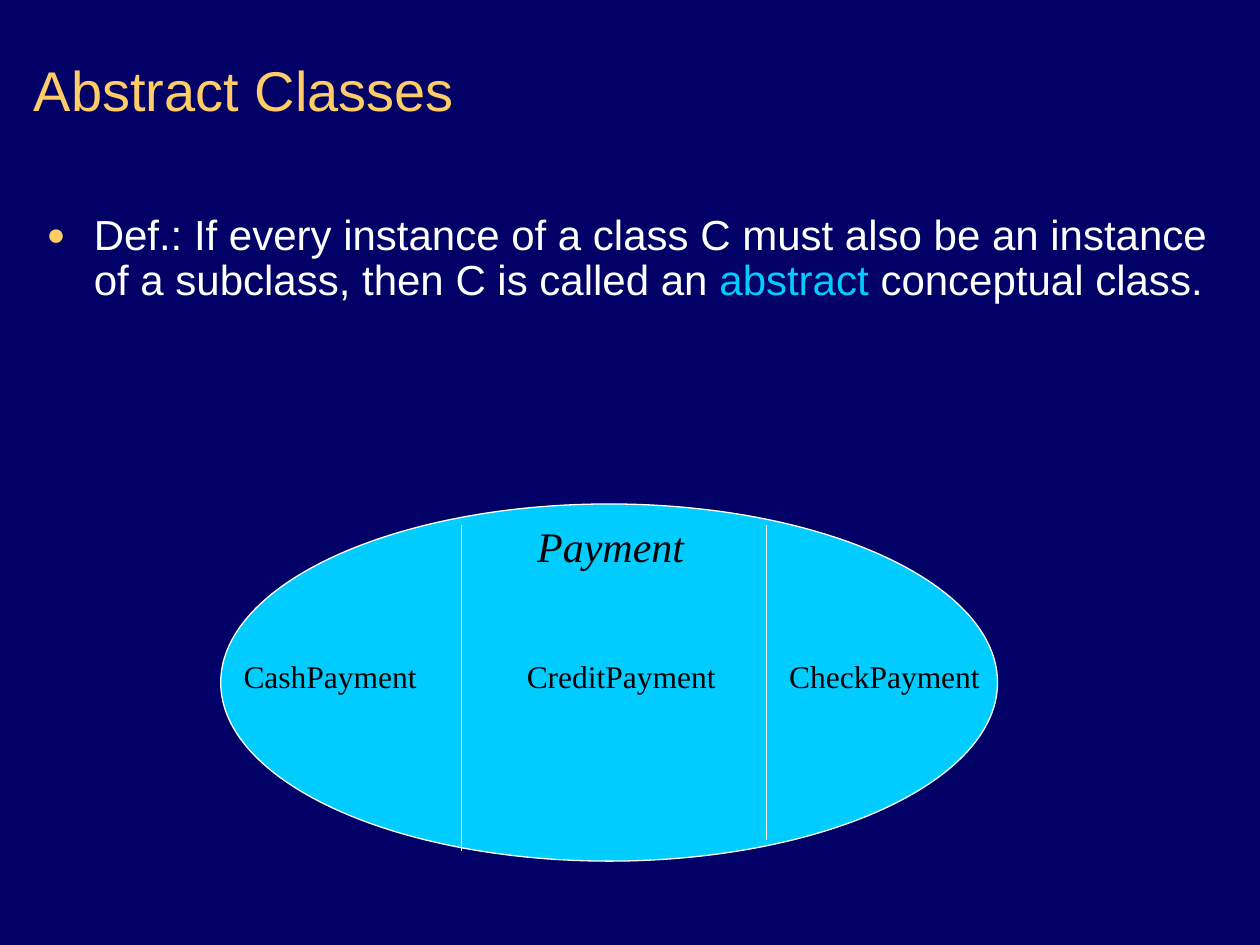
"""Build the slide on abstract classes with the payment partition."""
from lxml import etree
from pptx import Presentation
from pptx.dml.color import RGBColor
from pptx.enum.shapes import MSO_CONNECTOR, MSO_SHAPE
from pptx.enum.text import MSO_ANCHOR, MSO_AUTO_SIZE, PP_ALIGN
from pptx.oxml.ns import qn
from pptx.util import Cm, Pt

LEFT = PP_ALIGN.LEFT
MIDDLE = MSO_ANCHOR.MIDDLE
NO_FIT = MSO_AUTO_SIZE.NONE
OVAL = MSO_SHAPE.OVAL
LINE = MSO_CONNECTOR.STRAIGHT
COLORS = {"navy": "000066", "gold": "FFCC66", "white": "FFFFFF",
          "cyan": "00CCFF", "black": "000000"}


def color(name):
    return RGBColor.from_string(COLORS[name])


def style(run, size, face, name):
    run.font.size = Pt(size)
    run.font.name = face
    run.font.color.rgb = color(name)


deck = Presentation()
deck.slide_width, deck.slide_height = Cm(25.4), Cm(19.05)
slide = deck.slides.add_slide(deck.slide_layouts[1])
slide.background.fill.solid()
slide.background.fill.fore_color.rgb = color("navy")

title = slide.shapes.title
title.left, title.top, title.width, title.height = Cm(0.43), Cm(0.2), Cm(24.97), Cm(3.18)
frame = title.text_frame
frame.text = "Abstract Classes"
frame.vertical_anchor = MIDDLE
frame.auto_size = NO_FIT
frame.paragraphs[0].alignment = LEFT
style(frame.paragraphs[0].runs[0], 32, "Arial", "gold")

body = slide.placeholders[1]
body.left, body.top, body.width, body.height = Cm(0.43), Cm(4.19), Cm(24.56), Cm(14.22)
frame = body.text_frame
frame.auto_size = NO_FIT
frame.margin_left = frame.margin_right = Cm(0.51)
para = frame.paragraphs[0]
para.line_spacing = 0.9
para.space_before = Pt(6)
for text, name in [
    ("Def.: If every instance of a class C must also be an instance "
     "of a subclass, then C is called an", "white"),
    (" abstract ", "cyan"),
    ("conceptual class.", "white"),
]:
    run = para.add_run()
    run.text = text
    style(run, 24, "Arial", name)

props = para._p.get_or_add_pPr()
props.set("marL", str(Cm(0.95)))
props.set("indent", str(Cm(-0.95)))
tint = etree.SubElement(props, qn("a:buClr"))
etree.SubElement(tint, qn("a:srgbClr"), val=COLORS["gold"])
etree.SubElement(props, qn("a:buSzPct"), val="75000")
etree.SubElement(props, qn("a:buFont"), typeface="Arial")
etree.SubElement(props, qn("a:buChar"), char="●")

group = slide.shapes.add_group_shape()
oval = group.shapes.add_shape(OVAL, Cm(4.45), Cm(10.16), Cm(15.66), Cm(7.2))
oval.shadow.inherit = False
oval.fill.solid()
oval.fill.fore_color.rgb = color("cyan")
oval.line.color.rgb = color("white")
oval.line.width = Pt(0.75)

for x, end in [(9.31, 17.15), (15.45, 16.93)]:
    split = group.shapes.add_connector(LINE, Cm(x), Cm(10.58), Cm(x), Cm(end))
    split.line.color.rgb = color("white")
    split.line.width = Pt(0.75)
    etree.SubElement(split._element.spPr, qn("a:effectLst"))

for text, x, y, width, height, size in [
    ("Payment", 10.58, 10.37, 3.81, 1.27, 24),
    ("CashPayment", 4.66, 13.12, 4.23, 1.02, 18),
    ("CreditPayment", 10.37, 13.12, 4.87, 1.02, 18),
    ("CheckPayment", 15.66, 13.12, 4.87, 1.02, 18),
]:
    label = group.shapes.add_textbox(Cm(x), Cm(y), Cm(width), Cm(height))
    frame = label.text_frame
    frame.word_wrap = True
    frame.text = text
    run = frame.paragraphs[0].runs[0]
    style(run, size, "Times New Roman", "black")
    run.font.italic = text == "Payment"

deck.save("out.pptx")
